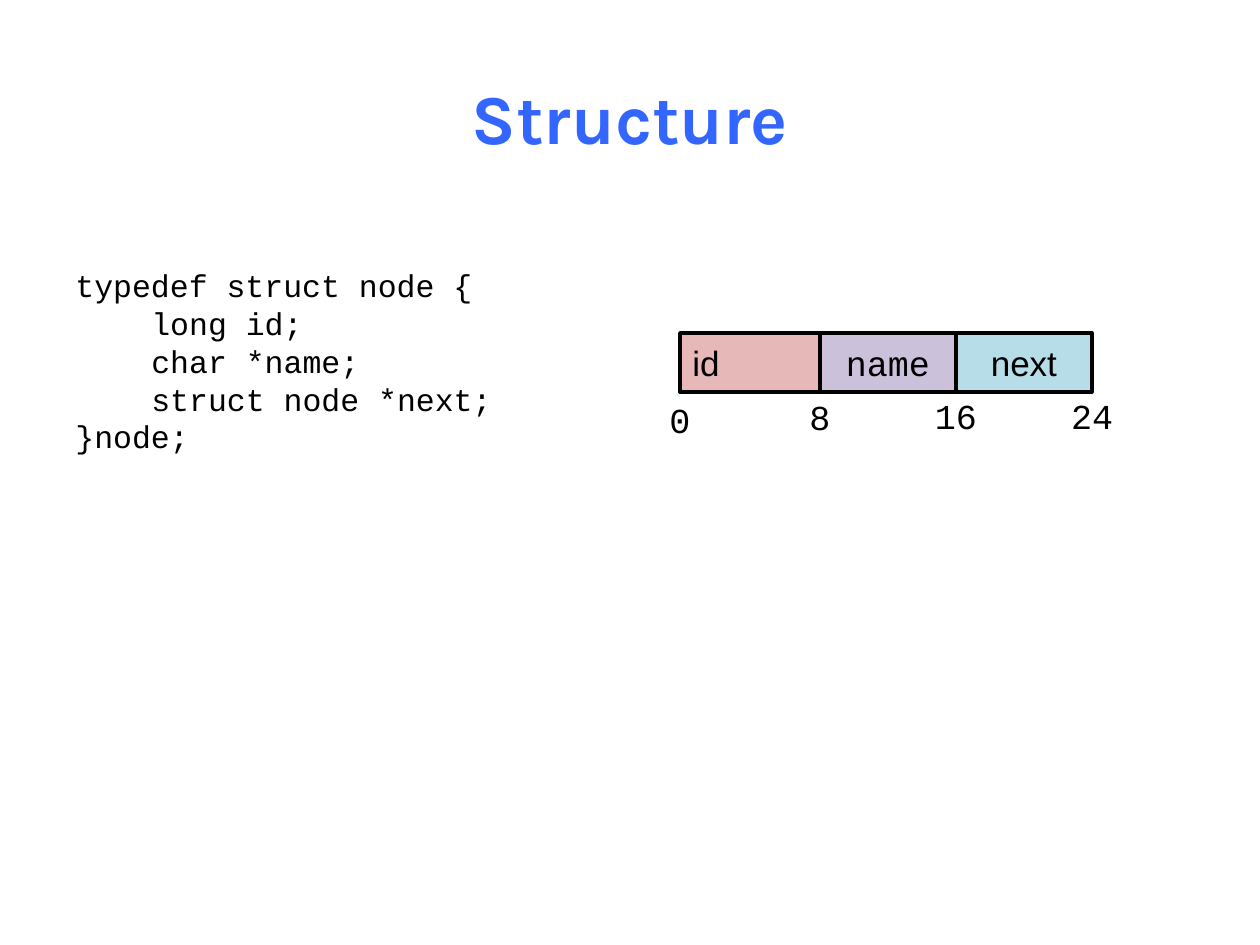
from pptx import Presentation
from pptx import util as u
from pptx.dml.color import RGBColor
from pptx.enum import shapes, text

# Content
COLORS = {"title": "3366FF", "ink": "000000", "id": "E6B9B8",
          "name": "CCC1DA", "next": "B7DEE8"}
SANS, MONO = "Arial", "Courier New"
LEFT, CENTER = text.PP_ALIGN.LEFT, text.PP_ALIGN.CENTER
TITLE = "Structure"
CODE = [(0, "typedef struct node {"), (1, "long id;"), (1, "char *name;"),
        (1, "struct node *next;"), (0, "}node;")]
FIELDS = [("id", SANS, LEFT), ("name", MONO, CENTER), ("next", SANS, CENTER)]
# Byte offset, x of the field edge, top of its label
OFFSETS = [("0", 680, 392), ("8", 820, 389), ("16", 956, 388), ("24", 1092, 388)]
FIELD_TOP, FIELD_HEIGHT = 333, 59
LABEL_WIDTH, LABEL_HEIGHT = 68, 54
INDENT = 76
SCALE = 914400 // 126


def px(*values):
    return [u.Emu(value * SCALE) for value in values]


def write(para, words, align=LEFT, color="ink", **font):
    para.alignment = align
    span = para.add_run()
    span.text = words
    span.font.color.rgb = RGBColor.from_string(COLORS[color])
    for key, value in font.items():
        setattr(span.font, key, value)


deck = Presentation()
deck.slide_width, deck.slide_height = u.Inches(10), u.Inches(7.5)
page = deck.slides.add_slide(deck.slide_layouts[5])

# Title
title = page.shapes.title
title.left, title.top, title.width, title.height = px(63, 38, 1134, 157)
title.text_frame.vertical_anchor = text.MSO_ANCHOR.MIDDLE
write(title.text_frame.paragraphs[0], TITLE, CENTER, "title",
      name="Karla", size=u.Pt(40), bold=True)

# Code listing, with members indented
frame = page.shapes.add_textbox(*px(63, 260, 454, 203)).text_frame
frame.word_wrap = True
for row, (level, line) in enumerate(CODE):
    para = frame.add_paragraph() if row else frame.paragraphs[0]
    para._p.get_or_add_pPr().set("marL", str(level * INDENT * SCALE))
    write(para, line, name=MONO, size=u.Pt(18))

# Memory layout: each field spans two neighbouring offsets
diagram = page.shapes.add_group_shape()
edges = [x for _, x, _ in OFFSETS]
for (label, font, align), start, end in zip(FIELDS, edges, edges[1:]):
    box = diagram.shapes.add_shape(shapes.MSO_SHAPE.RECTANGLE,
                                   *px(start, FIELD_TOP, end - start, FIELD_HEIGHT))
    box.shadow.inherit = False
    box.fill.solid()
    box.fill.fore_color.rgb = RGBColor.from_string(COLORS[label])
    box.line.color.rgb = RGBColor.from_string(COLORS["ink"])
    box.line.width = u.Pt(2)
    box.text_frame.vertical_anchor = text.MSO_ANCHOR.MIDDLE
    write(box.text_frame.paragraphs[0], label, align, name=font, size=u.Pt(20))

# Byte offsets centred under the edges
for label, edge, top in OFFSETS:
    box = diagram.shapes.add_textbox(
        *px(edge - LABEL_WIDTH // 2, top, LABEL_WIDTH, LABEL_HEIGHT))
    box.text_frame.word_wrap = False
    write(box.text_frame.paragraphs[0], label, CENTER, name=MONO, size=u.Pt(20))

deck.save("out.pptx")
